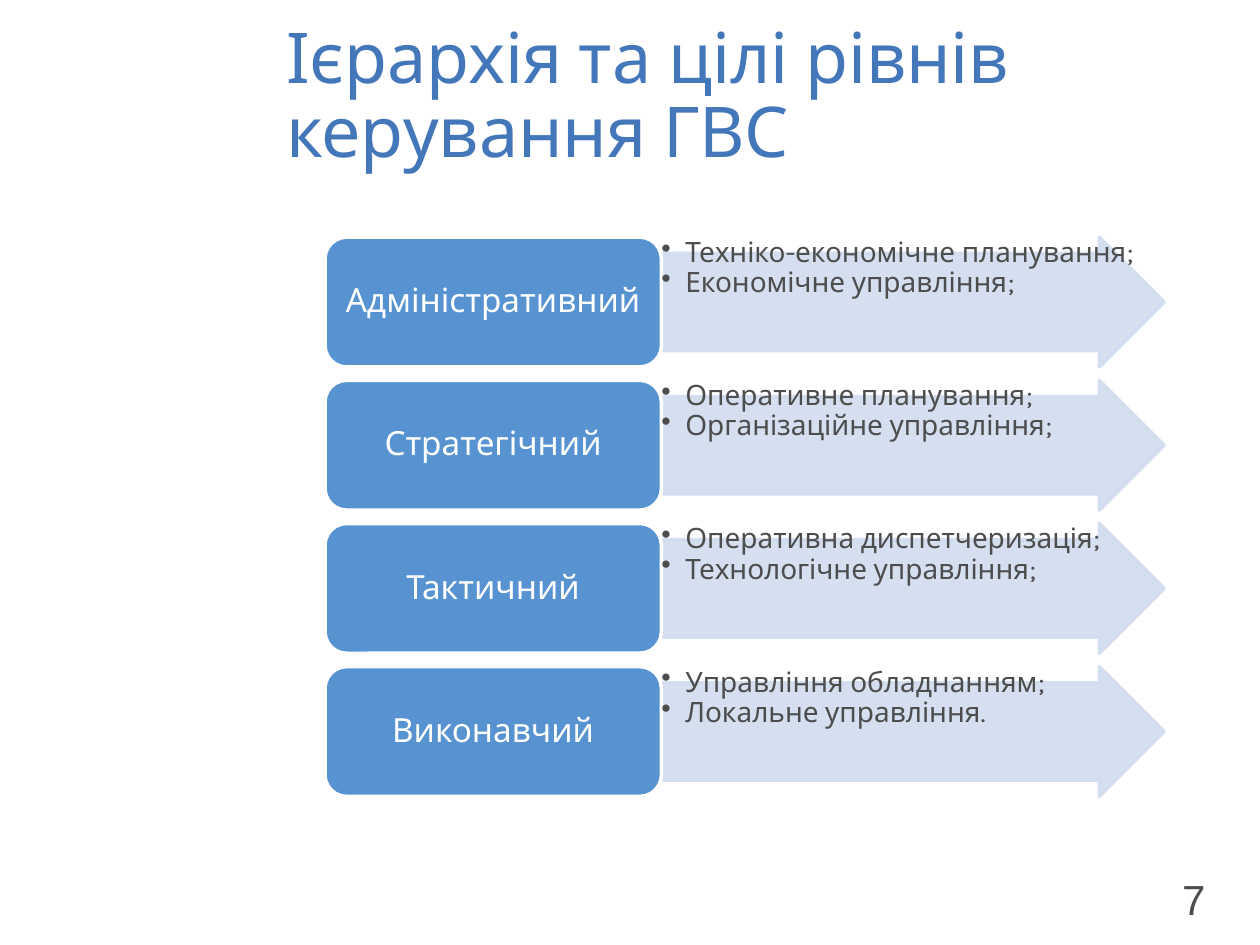
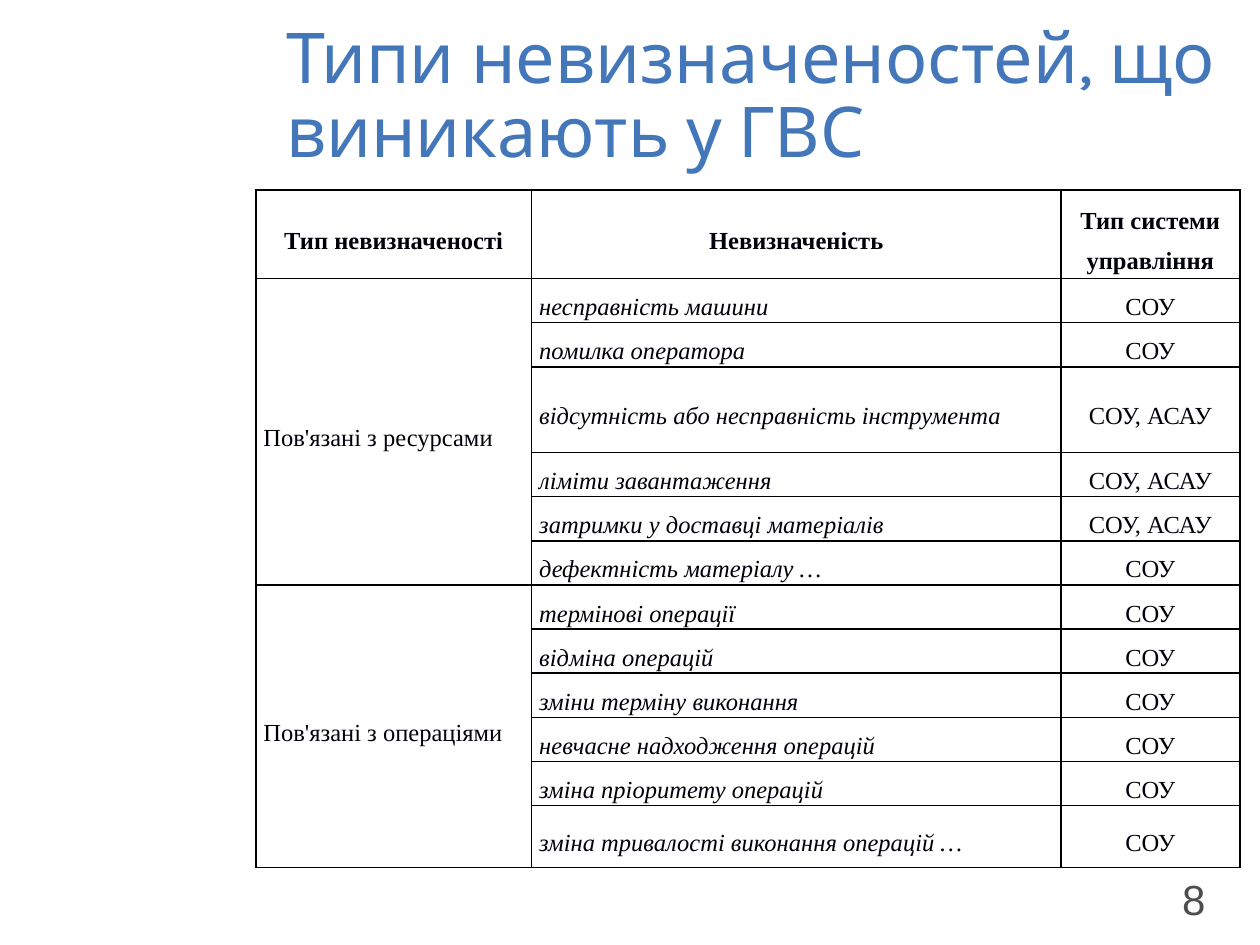
from lxml import etree
from pptx import Presentation
from pptx import util as u
from pptx.dml.color import RGBColor
from pptx.enum import shapes, text
from pptx.oxml import ns

COLORS = {"title": "4377BA", "body": "4D4D4D", "level": "5793D1", "arrow": "D1DCEE",
          "white": "FFFFFF", "ink": "00000A", "border": "000000"}
BODY_FONT = "Karla"

deck = Presentation()
deck.slide_width, deck.slide_height = u.Inches(10), u.Inches(7.5)
COLUMN, ROW = deck.slide_width / 100, deck.slide_height / 100


def place(left, top, width, height):
    return int(left * COLUMN), int(top * ROW), int(width * COLUMN), int(height * ROW)


def style(para, size, color, font=BODY_FONT, spacing=None, align=None, bold=False, italic=False):
    para.line_spacing, para.alignment = spacing, align
    for span in para.runs:
        span.font.size, span.font.name = u.Pt(size), font
        span.font.bold, span.font.italic = bold, italic
        span.font.color.rgb = RGBColor.from_string(COLORS[color])


CENTER, LEFT = text.PP_ALIGN.CENTER, text.PP_ALIGN.LEFT
MIDDLE = text.MSO_ANCHOR.MIDDLE

pages = []
for number, heading in [("7", "Ієрархія та цілі рівнів керування ГВС"),
                        ("8", "Типи невизначеностей, що виникають у ГВС")]:
    page = deck.slides.add_slide(deck.slide_layouts[5])
    title = page.shapes.title
    title.left, title.top, title.width, title.height = place(21.7, 5.2, 75.8, 10.4)
    title.text_frame.text = heading
    title.text_frame.vertical_anchor = MIDDLE
    title.text_frame.auto_size = text.MSO_AUTO_SIZE.NONE
    style(title.text_frame.paragraphs[0], 40, "title", spacing=0.88, align=LEFT)
    box = page.shapes.add_textbox(*place(91.7, 91.73, 6.1, 6.67))
    box.text_frame.text = number
    style(box.text_frame.paragraphs[0], 24, "body", font="Arial", align=CENTER)
    pages.append(page)
hierarchy, uncertainty = pages

levels = [
    ("Адміністративний", ["Техніко-економічне планування;", "Економічне управління;"]),
    ("Стратегічний", ["Оперативне планування;", "Організаційне управління;"]),
    ("Тактичний", ["Оперативна диспетчеризація;", "Технологічне управління;"]),
    ("Виконавчий", ["Управління обладнанням;", "Локальне управління."]),
]
LEVEL_TOP, LEVEL_PITCH, LEVEL_HEIGHT = 25.1, 15.15, 13.73

for index, (level, goals) in enumerate(levels):
    top = LEVEL_TOP + index * LEVEL_PITCH
    goal_area = place(52.4, top, 40, LEVEL_HEIGHT)
    arrow = hierarchy.shapes.add_shape(shapes.MSO_SHAPE.RIGHT_ARROW, *goal_area)
    arrow.adjustments[0], arrow.adjustments[1] = 0.75, 0.5
    level_box = hierarchy.shapes.add_shape(shapes.MSO_SHAPE.ROUNDED_RECTANGLE,
                                           *place(25.8, top, 26.7, LEVEL_HEIGHT))
    for shape, fill, line in [(arrow, "arrow", "arrow"), (level_box, "level", "white")]:
        shape.shadow.inherit = False
        shape.fill.solid()
        shape.fill.fore_color.rgb = RGBColor.from_string(COLORS[fill])
        shape.line.color.rgb = RGBColor.from_string(COLORS[line])
        shape.line.width = u.Pt(2)
    for color in arrow._element.spPr.iter(ns.qn("a:srgbClr")):
        etree.SubElement(color, ns.qn("a:alpha"), val="90000")

    frame = level_box.text_frame
    frame.text = level
    frame.word_wrap, frame.vertical_anchor = True, MIDDLE
    frame.margin_left = frame.margin_right = u.Inches(0.08)
    frame.margin_top = frame.margin_bottom = u.Inches(0.04)
    style(frame.paragraphs[0], 19, "white", spacing=0.9, align=CENTER)

    frame = hierarchy.shapes.add_textbox(*goal_area).text_frame
    frame.text = "\n".join(goals)
    frame.word_wrap = True
    frame.margin_left = frame.margin_right = u.Inches(0.01)
    frame.margin_top = frame.margin_bottom = u.Inches(0.01)
    for para in frame.paragraphs:
        para.level = 1
        style(para, 16, "body", spacing=0.9, align=LEFT)
        props = para._p.get_or_add_pPr()
        props.set("marL", str(u.Inches(0.19)))
        props.set("indent", str(-u.Inches(0.19)))
        etree.SubElement(props, ns.qn("a:buChar"), char="•")

BOTH = "СОУ, АСАУ"
groups = [
    ("Пов'язані з ресурсами", [
        ("несправність машини", "СОУ"),
        ("помилка оператора", "СОУ"),
        ("відсутність або несправність інструмента", BOTH),
        ("ліміти завантаження", BOTH),
        ("затримки у доставці матеріалів", BOTH),
        ("дефектність матеріалу …", "СОУ")]),
    ("Пов'язані з операціями", [
        ("термінові операції", "СОУ"),
        ("відміна операцій", "СОУ"),
        ("зміни терміну виконання", "СОУ"),
        ("невчасне надходження операцій", "СОУ"),
        ("зміна пріоритету операцій", "СОУ"),
        ("зміна тривалості виконання операцій …", "СОУ")]),
]
records = [("Тип невизначеності", "Невизначеність", "Тип системи\vуправління")]
for group, causes in groups:
    for index, (cause, system) in enumerate(causes):
        records.append((group if index == 0 else "", cause, system))

column_widths = [21.9, 42, 14.2]
row_heights = [4.53] * len(records)
row_heights[0] = row_heights[3] = 9.07
row_heights[-1] = 6.53

table = uncertainty.shapes.add_table(
    len(records), len(column_widths),
    *place(20.3, 20.13, sum(column_widths), sum(row_heights))).table
table.first_row = table.horz_banding = False
for column, width in zip(table.columns, column_widths):
    column.width = int(width * COLUMN)
for row, height in zip(table.rows, row_heights):
    row.height = int(height * ROW)

for row_index, record in enumerate(records):
    for column_index, words in enumerate(record):
        cell = table.cell(row_index, column_index)
        cell.vertical_anchor = MIDDLE
        cell.margin_left = cell.margin_right = u.Inches(0.06)
        cell.margin_top = cell.margin_bottom = 0
        header = row_index == 0
        para = cell.text_frame.paragraphs[0]
        para.text = words
        style(para, 14, "ink", font="Times New Roman", spacing=1.5,
              align=CENTER if header or column_index == 2 else LEFT,
              bold=header, italic=column_index == 1 and not header)
        props = cell._tc.get_or_add_tcPr()
        for side in ("lnL", "lnR", "lnT", "lnB"):
            border = etree.SubElement(props, ns.qn("a:" + side), w=str(u.Pt(1)))
            paint = etree.SubElement(border, ns.qn("a:solidFill"))
            etree.SubElement(paint, ns.qn("a:srgbClr"), val=COLORS["border"])
        cell.fill.background()

first = 1
for group, causes in groups:
    last = first + len(causes) - 1
    table.cell(first, 0).merge(table.cell(last, 0))
    first = last + 1

deck.save("out.pptx")
